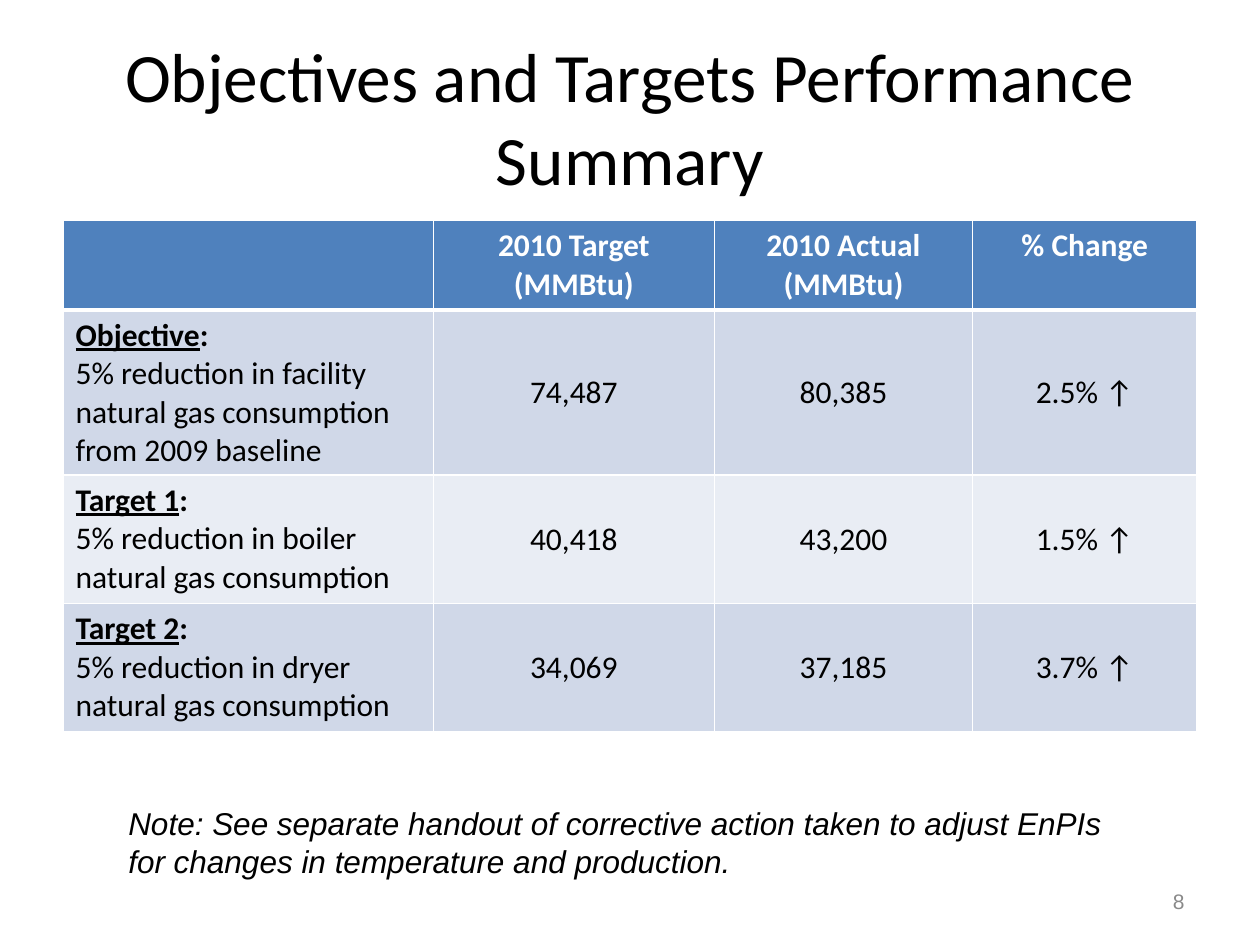
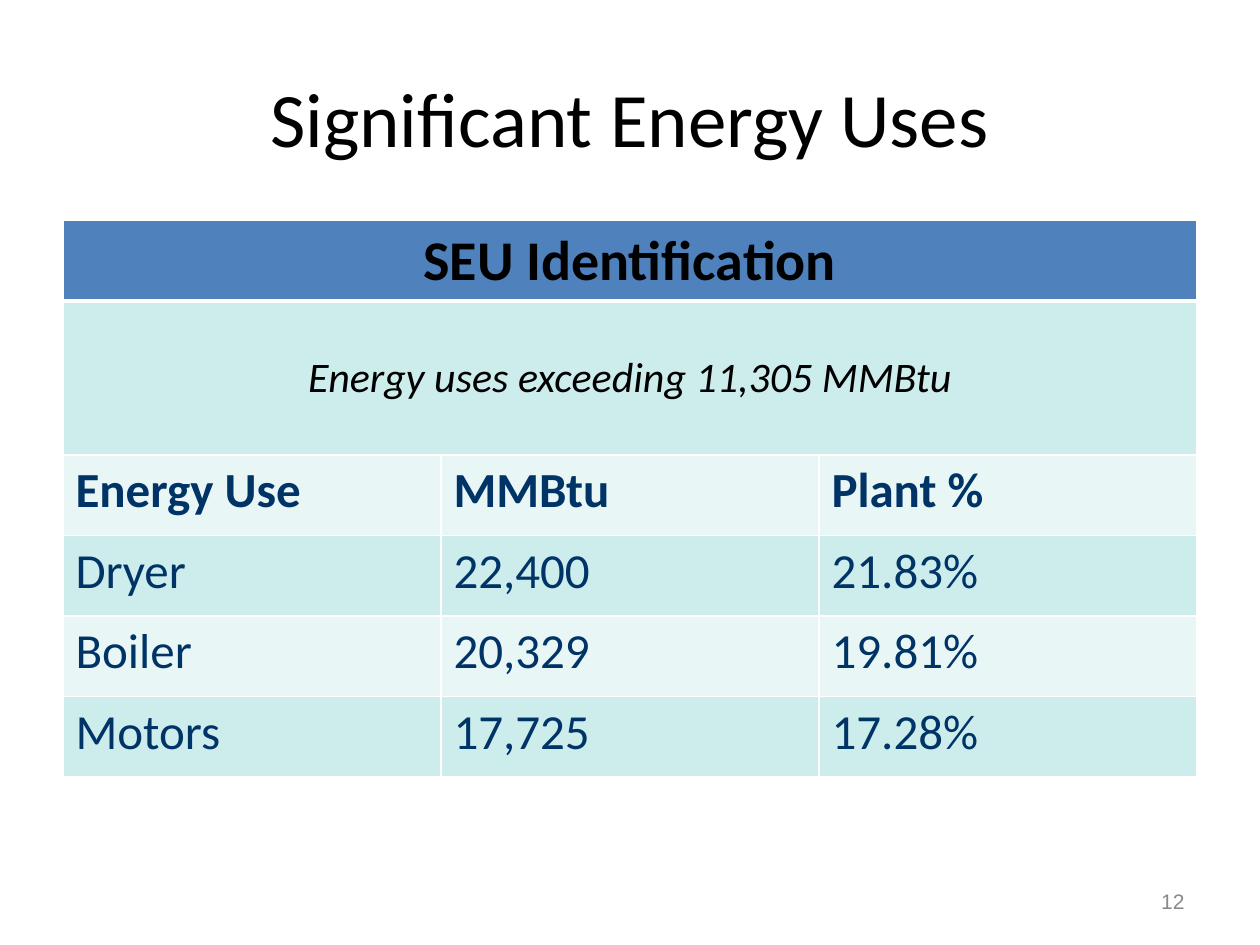
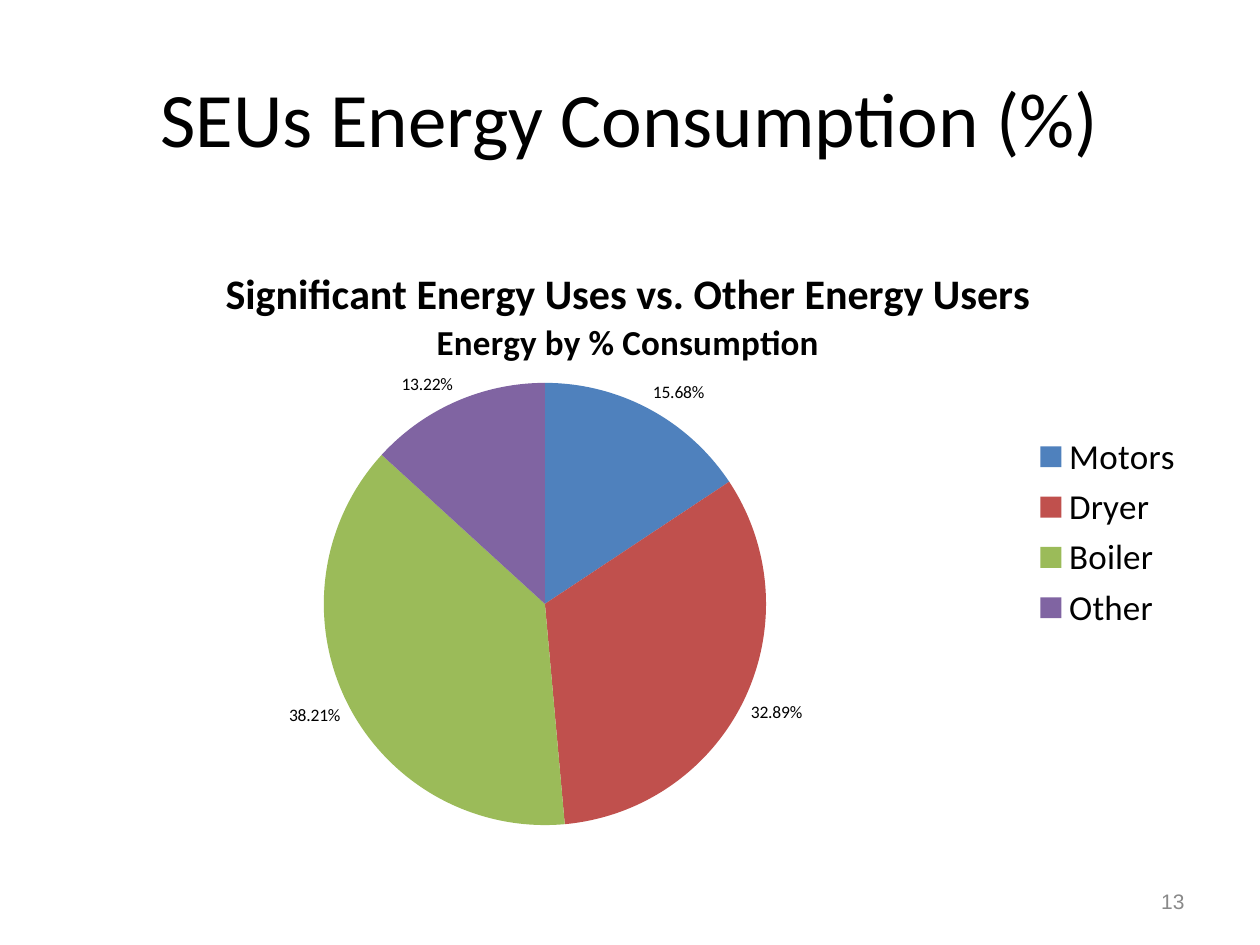
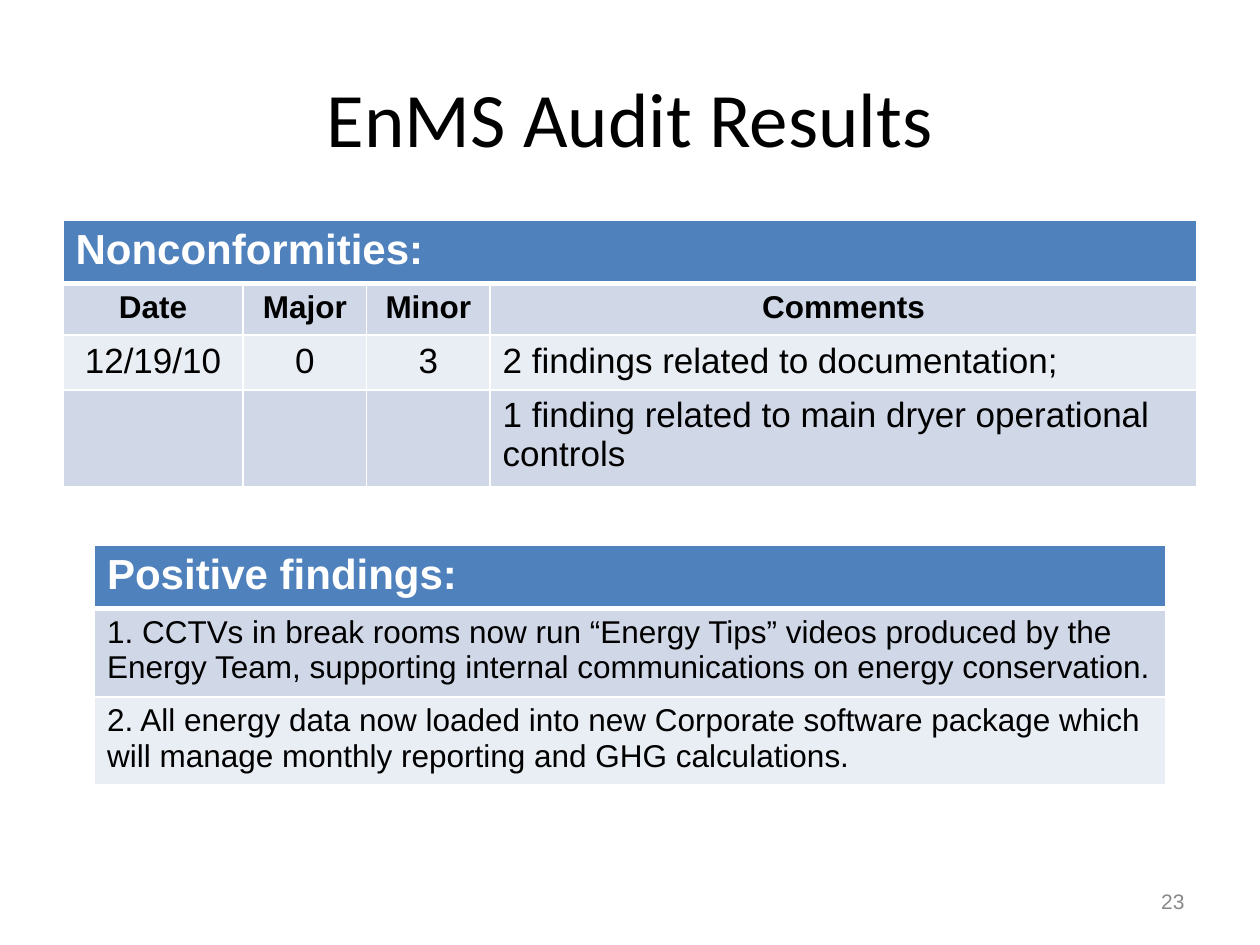
import pptx
import pptx.chart.data
import pptx.dml.color
import pptx.enum.chart
import pptx.enum.text
import pptx.oxml
import pptx.oxml.ns
import pptx.util

Inches = pptx.util.Inches
Pt = pptx.util.Pt
ALIGN = {
    "l": pptx.enum.text.PP_ALIGN.LEFT,
    "c": pptx.enum.text.PP_ALIGN.CENTER,
    "r": pptx.enum.text.PP_ALIGN.RIGHT,
}
ANCHOR = {
    "top": pptx.enum.text.MSO_ANCHOR.TOP,
    "middle": pptx.enum.text.MSO_ANCHOR.MIDDLE,
}
COLORS = {
    "text": "000000", "white": "FFFFFF", "number": "898989", "navy": "003366",
    "header": "4F81BD", "blue_band": "D0D8E8", "blue_pale": "E9EDF4",
    "teal_band": "CDECEC", "teal_pale": "E8F6F6",
    "motors": "4F81BD", "dryer": "C0504D", "boiler": "9BBB59", "other": "8064A2",
}
BLUE_BANDS = ("blue_band", "blue_pale")
TEAL_BANDS = ("teal_band", "teal_pale")


def rgb(name):
    """Return the named colour."""
    return pptx.dml.color.RGBColor.from_string(COLORS[name])


def format_font(font, size, color="text", face="Calibri", bold=False, italic=False):
    """Apply one text style to a font."""
    font.size, font.name, font.bold, font.italic = Pt(size), face, bold, italic
    font.color.rgb = rgb(color)


def write(frame, text, align="l", **style):
    """Fill a text frame, one paragraph per line, in one style."""
    frame.text = text
    for paragraph in frame.paragraphs:
        paragraph.alignment = ALIGN[align]
        for run in paragraph.runs:
            format_font(run.font, **style)


def write_goal(frame, label, goal):
    """Write an underlined bold label with a colon, and the goal below it."""
    write(frame, f"{label}\n{goal}", size=18)
    heading = frame.paragraphs[0]
    colon = heading.add_run()
    colon.text = ":"
    format_font(colon.font, 18, bold=True)
    heading.runs[0].font.bold = True
    heading.runs[0].font.underline = True


def add_borders(cell, top, bottom):
    """Draw white cell borders with the given top and bottom widths in points."""
    properties = cell._tc.get_or_add_tcPr()
    for place, (side, width) in enumerate(
            (("L", 1), ("R", 1), ("T", top), ("B", bottom))):
        properties.insert(place, pptx.oxml.parse_xml(
            f'<a:ln{side} {pptx.oxml.ns.nsdecls("a")} w="{Pt(width)}"><a:solidFill>'
            f'<a:srgbClr val="{COLORS["white"]}"/></a:solidFill></a:ln{side}>'))


def manual_layout(target=None, **fractions):
    """Return a chart layout element with fractions of the chart area."""
    inner = f'<c:layoutTarget val="{target}"/>' if target else ""
    inner += "".join(f'<c:{axis}Mode val="edge"/>' for axis in "xy")
    inner += "".join(f'<c:{key} val="{value}"/>' for key, value in fractions.items())
    return pptx.oxml.parse_xml(
        f'<c:layout {pptx.oxml.ns.nsdecls("c")}><c:manualLayout>{inner}'
        "</c:manualLayout></c:layout>")


class Deck:
    """The presentation's style and its current slide."""

    def __init__(self):
        """Start an empty 10 by 7.5 inch presentation."""
        self.presentation = pptx.Presentation()
        self.presentation.slide_width = Inches(10)
        self.presentation.slide_height = Inches(7.5)
        self.slide = None

    def start_slide(self, title, number, title_size=44):
        """Add a slide with its title and slide number."""
        self.slide = self.presentation.slides.add_slide(
            self.presentation.slide_layouts[6])
        self.text((0.5, 0.3, 9, 1.25), title, align="c", anchor="middle",
                  size=title_size)
        self.text((7.17, 6.95, 2.33, 0.4), str(number), align="r",
                  anchor="middle", size=12, face="Arial", color="number")

    def text(self, box, text, anchor="top", wrap=True, **style):
        """Add a text box."""
        frame = self.slide.shapes.add_textbox(*map(Inches, box)).text_frame
        frame.word_wrap = wrap
        frame.vertical_anchor = ANCHOR[anchor]
        write(frame, text, **style)

    def table(self, left, top, widths, heights, bands, margin=0.1):
        """Add a table with a header row and banded rows."""
        table = self.slide.shapes.add_table(
            len(heights), len(widths), Inches(left), Inches(top),
            Inches(sum(widths)), Inches(sum(heights))).table
        for column, width in zip(table.columns, widths):
            column.width = Inches(width)
        for index, (row, height) in enumerate(zip(table.rows, heights)):
            row.height = Inches(height)
            fill = bands[(index - 1) % 2] if index else "header"
            for cell in row.cells:
                cell.margin_left = cell.margin_right = Inches(margin)
                add_borders(cell, 3 if index == 1 else 1, 1 if index else 3)
                cell.fill.solid()
                cell.fill.fore_color.rgb = rgb(fill)
        return table

    def row(self, table, index, texts, aligns, anchor="top", **style):
        """Write one table row; a single text spans all the columns."""
        last = len(table.columns) - 1
        if len(texts) == 1 and last:
            table.cell(index, 0).merge(table.cell(index, last))
        for column, (text, align) in enumerate(zip(texts, aligns)):
            if text:
                cell = table.cell(index, column)
                cell.vertical_anchor = ANCHOR[anchor]
                write(cell.text_frame, text, align, **style)

    def pie(self, box, title_lines, shares):
        """Add a pie chart with a two-size title, a legend and outside labels."""
        data = pptx.chart.data.CategoryChartData(number_format="0.00%")
        data.categories = list(shares)
        data.add_series("Series 1", list(shares.values()))
        chart = self.slide.shapes.add_chart(
            pptx.enum.chart.XL_CHART_TYPE.PIE, *map(Inches, box), data).chart
        format_font(chart.font, 10)

        chart.has_title = True
        frame = chart.chart_title.text_frame
        frame.text = "\n".join(title_lines)
        for paragraph, size in zip(frame.paragraphs, (24, 20)):
            paragraph.alignment = ALIGN["c"]
            format_font(paragraph.runs[0].font, size, bold=True)

        chart.has_legend = True
        chart.legend.position = pptx.enum.chart.XL_LEGEND_POSITION.RIGHT
        chart.legend.include_in_layout = False
        format_font(chart.legend.font, 20)

        plot = chart.plots[0]
        plot.vary_by_categories = True
        plot.has_data_labels = True
        labels = plot.data_labels
        labels.show_value, labels.show_percentage = True, False
        labels.number_format, labels.number_format_is_linked = "0.00%", False
        labels.position = pptx.enum.chart.XL_LABEL_POSITION.OUTSIDE_END
        format_font(labels.font, 10)
        for index, category in enumerate(shares):
            slice_fill = plot.series[0].points[index].format.fill
            slice_fill.solid()
            slice_fill.fore_color.rgb = rgb(category.lower())

        qn = pptx.oxml.ns.qn
        title = chart.element.find(".//" + qn("c:title"))
        area = chart.element.find(".//" + qn("c:plotArea"))
        for parent in (title, area):
            for layout in parent.findall(qn("c:layout")):
                parent.remove(layout)
        title.find(qn("c:tx")).addnext(manual_layout(x=0.14, y=0.07))
        area.insert(0, manual_layout("inner", x=0.23, y=0.26, w=0.39, h=0.71))


def performance_summary(deck):
    """Build the objectives and targets slide."""
    deck.start_slide("Objectives and Targets Performance Summary", 8, 39.6)
    table = deck.table(0.5, 1.75, (2.94, 2.23, 2.05, 1.78),
                       (0.71, 1.31, 1.02, 1.02), BLUE_BANDS)
    deck.row(table, 0, ("", "2010 Target\n(MMBtu)", "2010 Actual\n(MMBtu)",
                        "% Change"), "cccc", size=18, color="white", bold=True)
    goals = (
        ("Objective",
         "5% reduction in facility natural gas consumption from 2009 baseline",
         "74,487", "80,385", "2.5% ↑"),
        ("Target 1", "5% reduction in boiler natural gas consumption",
         "40,418", "43,200", "1.5% ↑"),
        ("Target 2", "5% reduction in dryer natural gas consumption",
         "34,069", "37,185", "3.7% ↑"),
    )
    for index, (label, goal, *figures) in enumerate(goals, 1):
        write_goal(table.cell(index, 0).text_frame, label, goal)
        deck.row(table, index, ("", *figures), "lccc", anchor="middle", size=18)
    deck.text((0.92, 6.33, 8, 0.71),
              "Note: See separate handout of corrective action taken to adjust EnPIs\n"
              "for changes in temperature and production.",
              wrap=False, size=18, face="Arial", italic=True)


def significant_uses(deck):
    """Build the table of significant energy uses."""
    deck.start_slide("Significant Energy Uses", 12)
    table = deck.table(0.5, 1.75, (3,) * 3, (0.64, 1.22) + (0.64,) * 4, TEAL_BANDS)
    deck.row(table, 0, ("SEU Identification",), "c", size=32, bold=True)
    deck.row(table, 1, ("Energy uses exceeding 11,305 MMBtu",), "c",
             anchor="middle", size=24, italic=True)
    uses = (
        ("Energy Use", "MMBtu", "Plant %"),
        ("Dryer", "22,400", "21.83%"),
        ("Boiler", "20,329", "19.81%"),
        ("Motors", "17,725", "17.28%"),
    )
    for index, use in enumerate(uses, 2):
        deck.row(table, index, use, "lll", size=28, color="navy", bold=index == 2)


def consumption_shares(deck):
    """Build the pie chart of energy consumption."""
    deck.start_slide("SEUs Energy Consumption (%)", 13)
    deck.pie((0.5, 1.75, 9, 4.95),
             ("Significant Energy Uses vs. Other Energy Users",
              "Energy by % Consumption"),
             {"Motors": 0.1568, "Dryer": 0.3289, "Boiler": 0.3821, "Other": 0.1322})


def audit_results(deck):
    """Build the two tables of audit findings."""
    deck.start_slide("EnMS Audit Results", 23)
    heading = {"size": 24, "face": "Arial", "color": "white", "bold": True}
    faults = deck.table(0.5, 1.75, (1.43, 0.98, 0.98, 5.61),
                        (0.5, 0.41, 0.43, 0.77), BLUE_BANDS)
    deck.row(faults, 0, ("Nonconformities:",), "l", **heading)
    deck.row(faults, 1, ("Date", "Major", "Minor", "Comments"), "cccc",
             size=18, face="Arial", bold=True)
    findings = (
        ("12/19/10", "0", "3", "2 findings related to documentation;"),
        ("", "", "", "1 finding related to main dryer operational controls"),
    )
    for index, finding in enumerate(findings, 2):
        deck.row(faults, index, finding, "cccl", size=20, face="Arial")

    positives = deck.table(0.75, 4.33, (8.5,), (0.5, 0.7, 0.7), BLUE_BANDS)
    deck.row(positives, 0, ("Positive findings:",), "l", **heading)
    praise = (
        "1. CCTVs in break rooms now run “Energy Tips” videos produced by the "
        "Energy Team, supporting internal communications on energy conservation.",
        "2. All energy data now loaded into new Corporate software package which "
        "will manage monthly reporting and GHG calculations.",
    )
    for index, sentence in enumerate(praise, 1):
        deck.row(positives, index, (sentence,), "l", size=18, face="Arial")


deck = Deck()
for build in (performance_summary, significant_uses, consumption_shares, audit_results):
    build(deck)
deck.presentation.save("out.pptx")
